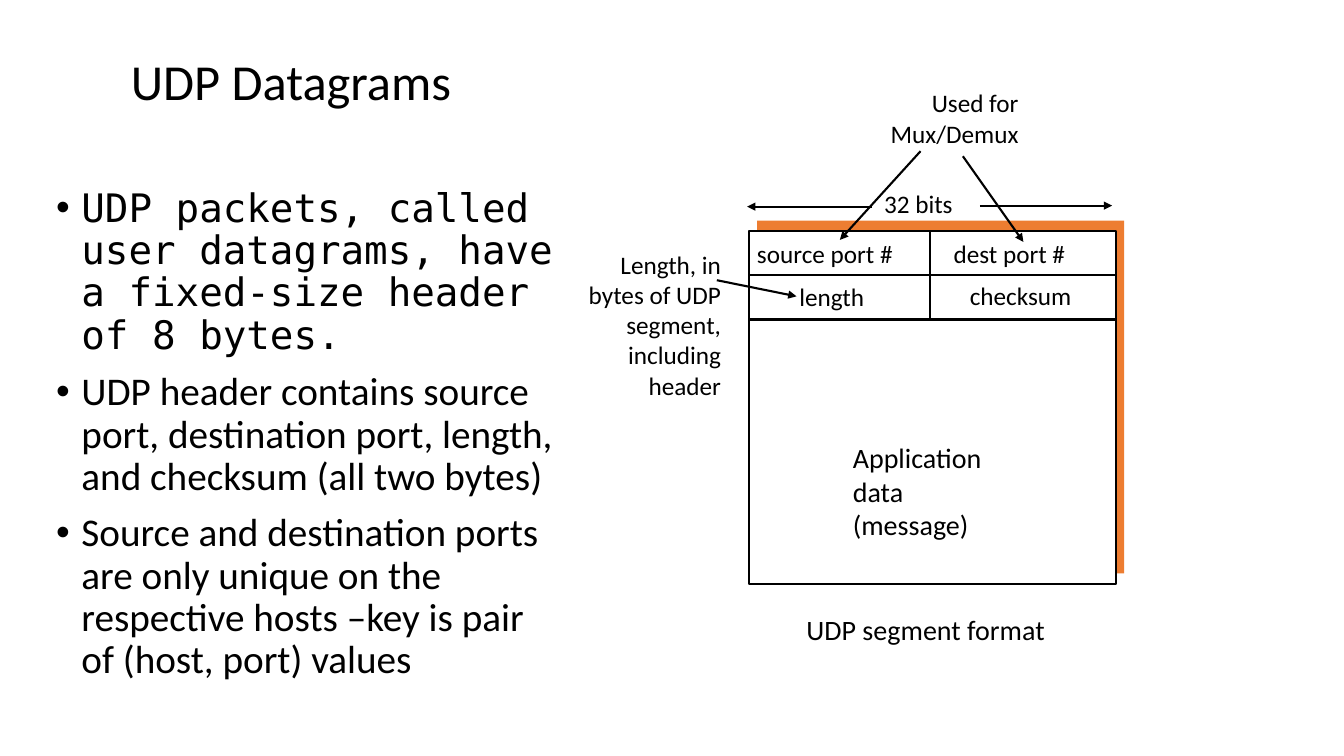
"""Build the UDP Datagrams slide with its segment format diagram."""
from lxml.etree import SubElement
from pptx import Presentation
from pptx.dml.color import RGBColor
from pptx.enum.shapes import MSO_CONNECTOR, MSO_SHAPE
from pptx.enum.text import MSO_ANCHOR, PP_ALIGN
from pptx.oxml.ns import qn
from pptx.util import Inches, Pt

THEME = {
    "ink": RGBColor.from_string("000000"),
    "paper": RGBColor.from_string("FFFFFF"),
    "accent": RGBColor.from_string("ED7D31"),
    "sans": "Calibri",
    "mono": "DejaVu Sans Mono",
    "title": Pt(36),
    "body": Pt(28),
    "caption": Pt(20),
    "label": Pt(18),
    "stroke": Pt(1.5),
}

TITLE = ("UDP Datagrams", (1.2, 0.4, 10.3, 0.87))
BULLETS_AT = (0.46, 1.82, 5.14, 4.76)
BULLETS = [
    ("UDP packets, called user datagrams, have a fixed-size header of 8 bytes.", "mono"),
    ("UDP header contains source port, destination port, length, "
     "and checksum (all two bytes)", "sans"),
    ("Source and destination ports are only unique on the respective hosts "
     "–key is pair of (host, port) values", "sans"),
]

SEGMENT = (7.43, 2.29, 3.64, 3.5)
SHADOW_SHIFT = (0.08, -0.1)
ROW_HEIGHT = 0.44
COLUMN_X = 9.22

LABELS = [
    (["source port #"], (7.41, 2.32, 1.56, 0.4), "label", "left"),
    (["dest port #"], (9.36, 2.32, 1.32, 0.4), "label", "left"),
    (["length"], (7.83, 2.74, 0.85, 0.4), "label", "left"),
    (["checksum"], (9.52, 2.73, 1.22, 0.4), "label", "left"),
    (["32 bits"], (8.67, 1.82, 0.89, 0.4), "label", "left"),
    (["Application", "data", "(message)"], (8.36, 4.32, 1.49, 1.11), "caption", "left"),
    (["UDP segment format"], (7.9, 6.03, 2.59, 0.44), "caption", "left"),
    (["Length, in", "bytes of UDP", "segment,", "including", "header"],
     (5.72, 2.42, 1.53, 1.62), "label", "right"),
]
MUX_LABEL = (["Used for Mux/Demux"], (8.44, 0.82, 1.76, 0.7), "label", "right")

ARROWS = [
    ((9.72, 2.04), (11.03, 2.04)),
    ((8.65, 2.05), (7.41, 2.05)),
    ((7.11, 2.78), (7.9, 2.94)),
    ((9.13, 1.5), (8.33, 2.38)),
    ((9.55, 1.55), (10.15, 2.4)),
]

ALIGNMENTS = {"left": PP_ALIGN.LEFT, "right": PP_ALIGN.RIGHT}


def apply(target, values):
    for name, value in values.items():
        setattr(target, name, value)


def add_text(page, lines, place, size, align="left", wrap=False, face="sans"):
    frame = page.shapes.add_textbox(*map(Inches, place)).text_frame
    frame.word_wrap = wrap
    for index, line in enumerate(lines):
        para = frame.paragraphs[0] if index == 0 else frame.add_paragraph()
        para.alignment = ALIGNMENTS[align]
        span = para.add_run()
        span.text = line
        apply(span.font, {"name": THEME[face], "size": THEME[size]})
        span.font.color.rgb = THEME["ink"]
    return frame


def add_bullets(page):
    frame = add_text(page, [line for line, _ in BULLETS], BULLETS_AT, "body", wrap=True)
    for index, (para, (_, face)) in enumerate(zip(frame.paragraphs, BULLETS)):
        apply(para, {"line_spacing": 0.9, "space_before": Pt(10 if index else 0)})
        properties = para._p.get_or_add_pPr()
        properties.set("marL", str(Inches(0.25)))
        properties.set("indent", str(Inches(-0.25)))
        SubElement(properties, qn("a:buFont"), typeface="Arial")
        SubElement(properties, qn("a:buChar"), char="•")
        para.runs[0].font.name = THEME[face]


def add_box(page, place, fill, outlined):
    box = page.shapes.add_shape(MSO_SHAPE.RECTANGLE, *map(Inches, place))
    box.shadow.inherit = False
    box.fill.solid()
    box.fill.fore_color.rgb = THEME[fill]
    if outlined:
        box.line.color.rgb = THEME["ink"]
        box.line.width = THEME["stroke"]
    else:
        box.line.fill.background()


def add_line(page, start, end, arrow=False):
    line = page.shapes.add_connector(MSO_CONNECTOR.STRAIGHT, *map(Inches, start + end))
    line.line.color.rgb = THEME["ink"]
    line.line.width = THEME["stroke"]
    if arrow:
        SubElement(line.line._get_or_add_ln(), qn("a:tailEnd"), type="triangle")
    SubElement(line._element.spPr, qn("a:effectLst"))


def add_segment(page):
    left, top, width, height = SEGMENT
    across, down = SHADOW_SHIFT
    add_box(page, (left + across, top + down, width, height), "accent", False)
    add_box(page, SEGMENT, "paper", True)
    for row in (1, 2):
        bottom = top + row * ROW_HEIGHT
        add_line(page, (left, bottom), (left + width, bottom))
        add_line(page, (COLUMN_X, bottom), (COLUMN_X, bottom - ROW_HEIGHT))


def main():
    deck = Presentation()
    apply(deck, {"slide_width": Inches(13.33), "slide_height": Inches(7.5)})
    page = deck.slides.add_slide(deck.slide_layouts[6])
    heading, place = TITLE
    title = add_text(page, [heading], place, "title", wrap=True)
    title.vertical_anchor = MSO_ANCHOR.MIDDLE
    title.paragraphs[0].line_spacing = 0.9
    add_bullets(page)
    add_segment(page)
    for label in LABELS:
        add_text(page, *label)
    add_text(page, *MUX_LABEL, wrap=True)
    for start, end in ARROWS:
        add_line(page, start, end, arrow=True)
    deck.save("out.pptx")


if __name__ == "__main__":
    main()
